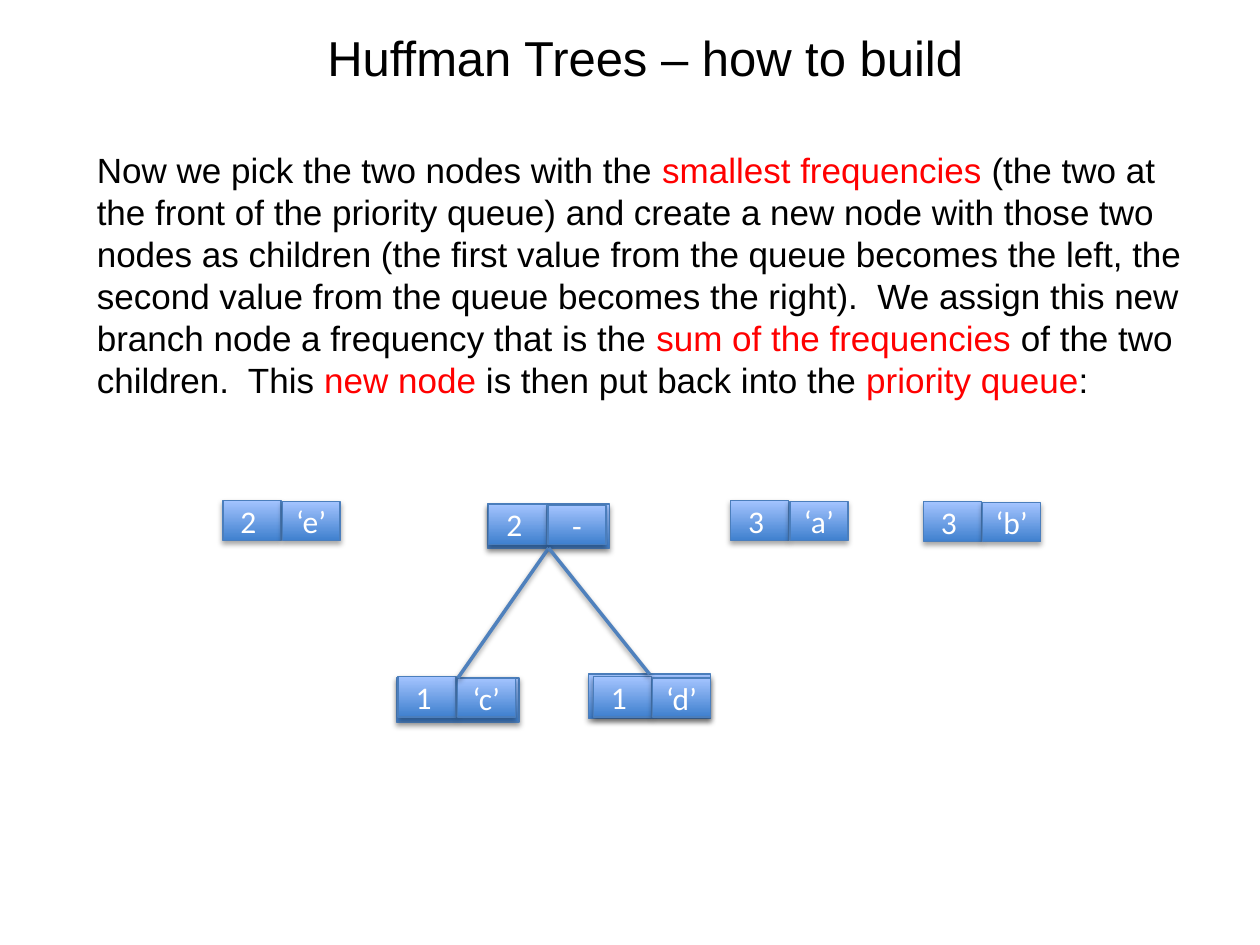
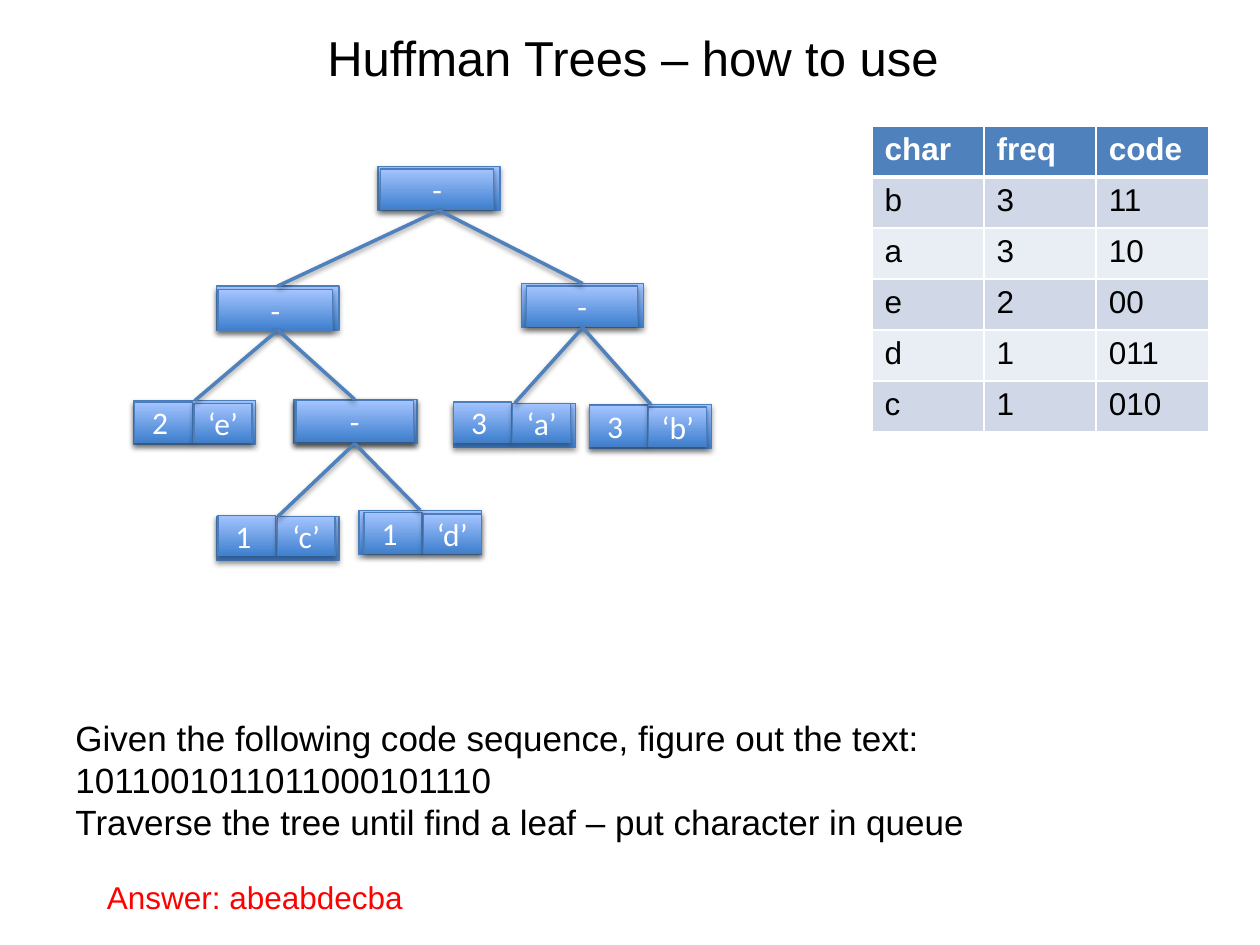
from dataclasses import dataclass

from lxml import etree
from pptx import Presentation
from pptx.dml.color import RGBColor
from pptx.enum import shapes, text
from pptx.oxml import ns
from pptx.util import Inches, Pt

BLACK = RGBColor(0x00, 0x00, 0x00)
WHITE = RGBColor(0xFF, 0xFF, 0xFF)
RED = RGBColor(0xFF, 0x00, 0x00)
DEEP = RGBColor(0x3F, 0x80, 0xCE)
PALE = RGBColor(0xA4, 0xC4, 0xFF)
EDGE = RGBColor(0x4B, 0x7E, 0xBC)
BLUE = RGBColor(0x4F, 0x81, 0xBD)
BANDS = RGBColor(0xD0, 0xD8, 0xE8), RGBColor(0xE9, 0xED, 0xF4)
NODE_W, NODE_H = 0.97, 0.35
CELL_W, CELL_H, STEP = 0.46, 0.32, 0.47


@dataclass
class Node:
    """A tree node: place in the tree's box, label, inset of its cells, children."""
    x: float
    y: float
    char: str = "-"
    freq: str = ""
    pad: tuple = (0.01, 0.01)
    wide: float = 0.9
    kids: tuple = ()
    twin: bool = False


def write(frame, lines, size=20, font="Arial", color=BLACK, bold=False, align=None):
    """Fill a text frame with lines; parts between asterisks are red."""
    for i, line in enumerate(lines):
        para = frame.paragraphs[0] if i == 0 else frame.add_paragraph()
        if align is not None:
            para.alignment = align
        for j, part in enumerate(line.split("*")):
            run = para.add_run()
            run.text = part
            run.font.size, run.font.name, run.font.bold = Pt(size), font, bold
            run.font.color.rgb = RED if j % 2 else color


def label(slide, box, *lines, wrap=True, **form):
    """Add a text box that grows with its text."""
    frame = slide.shapes.add_textbox(*map(Inches, box)).text_frame
    frame.word_wrap = wrap
    frame.auto_size = text.MSO_AUTO_SIZE.SHAPE_TO_FIT_TEXT
    write(frame, lines, **form)


def shade(props, alpha, dist):
    """Give shape properties a soft shadow that falls straight down."""
    effects = props.find(ns.qn("a:effectLst"))
    if effects is None:
        effects = etree.SubElement(props, ns.qn("a:effectLst"))
    outer = etree.SubElement(
        effects, ns.qn("a:outerShdw"), blurRad=str(Pt(3.1)), dist=str(Pt(dist)),
        dir="5400000", rotWithShape="0")
    tint = etree.SubElement(outer, ns.qn("a:srgbClr"), val="000000")
    etree.SubElement(tint, ns.qn("a:alpha"), val=str(alpha * 1000))


def block(group, x, y, wide, high, word=""):
    """Add one glossy rectangle, with a word if given."""
    rect = group.shapes.add_shape(
        shapes.MSO_SHAPE.RECTANGLE, *map(Inches, (x, y, wide, high)))
    rect.fill.gradient()
    rect.fill.gradient_angle = 90
    for stop, color in zip(rect.fill.gradient_stops, (DEEP, PALE)):
        stop.color.rgb = color
    rect.line.color.rgb, rect.line.width = EDGE, Pt(0.75)
    rect.shadow.inherit = False
    shade(rect._element.spPr, 35, 1.8)
    if word:
        write(rect.text_frame, [word], size=18, font="Calibri", color=WHITE,
              align=text.PP_ALIGN.CENTER)


def pair(group, x, y, freq, char):
    """Add a frequency cell and a character cell side by side."""
    block(group, x, y, CELL_W, CELL_H, freq + " ")
    block(group, x + STEP, y + 0.01, CELL_W, CELL_H - 0.01, char)


def link(slide, start, end):
    """Join two points with a line."""
    line = slide.shapes.add_connector(
        shapes.MSO_CONNECTOR.STRAIGHT, *map(Inches, start + end))
    line.line.color.rgb, line.line.width = BLUE, Pt(2)
    shade(line._element.spPr, 38, 1.6)


def tree(slide, left, top, node):
    """Draw a node and its children, in a box with the given corner."""
    for kid in node.kids:
        tree(slide, left, top, kid)
    x, y = left + node.x, top + node.y
    group = slide.shapes.add_group_shape()
    block(group, x, y, NODE_W, NODE_H)
    if node.twin:
        block(group, x + 0.01, y, NODE_W, NODE_H)
    dx, dy = node.pad
    if node.freq:
        pair(group, x + dx, y + dy, node.freq, node.char)
    else:
        block(group, x + dx, y + dy, node.wide, CELL_H, node.char)
    for kid in node.kids:
        link(slide, (x + NODE_W / 2, y + NODE_H),
             (left + kid.x + NODE_W / 2, top + kid.y))


def grid(slide, box, rows):
    """Add the code table with a dark head and banded rows."""
    table = slide.shapes.add_table(len(rows), len(rows[0]), *map(Inches, box)).table
    for r, row in enumerate(rows):
        for c, word in enumerate(row):
            cell = table.cell(r, c)
            props = cell._tc.get_or_add_tcPr()
            for side in "LRTB":
                thick = (side, r) in (("B", 0), ("T", 1))
                edge = etree.SubElement(props, ns.qn("a:ln" + side),
                                        w=str(Pt(3 if thick else 1)))
                fill = etree.SubElement(edge, ns.qn("a:solidFill"))
                etree.SubElement(fill, ns.qn("a:srgbClr"), val=str(WHITE))
            cell.fill.solid()
            cell.fill.fore_color.rgb = BANDS[(r - 1) % 2] if r else BLUE
            write(cell.text_frame, [word], size=18,
                  color=BLACK if r else WHITE, bold=r == 0)


def page(deck, title, wide):
    """Add a blank slide with its title."""
    slide = deck.slides.add_slide(deck.slide_layouts[6])
    label(slide, (2.5, 0.17, wide, 0.57), title, wrap=False, size=28)
    return slide


def build(deck):
    """Slide on joining the two rarest nodes."""
    slide = page(deck, "Huffman Trees – how to build", 5.31)
    label(slide, (0.67, 1.13, 8.83, 2.12),
          "Now we pick the two nodes with the *smallest frequencies *(the two at "
          "the front of the priority queue) and create a new node with those two "
          "nodes as children (the first value from the queue becomes the left, the "
          "second value from the queue becomes the right).  We assign this new "
          "branch node a frequency that is the *sum of the frequencies *of the two "
          "children.  This *new node *is then put back into the *priority queue*:")
    for x, y, freq, char in ((1.77, 3.97, "2", "‘e’"), (5.8, 3.97, "3", "‘a’"),
                             (7.33, 3.98, "3", "‘b’")):
        pair(slide.shapes.add_group_shape(), x, y, freq, char)
    tree(slide, 3.15, 4, Node(0.72, 0, "-", "2", (0.01, 0), kids=(
        Node(0, 1.38, "‘c’", "1", (0.01, -0.01)),
        Node(1.52, 1.35, "‘d’", "1", (0.04, 0.02)))))


def use(deck):
    """Slide on decoding with the finished tree."""
    slide = page(deck, "Huffman Trees – how to use", 5.11)
    label(slide, (0.5, 5.64, 9.25, 1.11),
          "Given the following code sequence, figure out the text:",
          "1011001011011000101110",
          "Traverse the tree until find a leaf – put character in queue")
    label(slide, (0.75, 6.92, 2.57, 0.4), "Answer: abeabdecba",
          wrap=False, size=18, color=RED)
    grid(slide, (6.92, 1, 2.67, 2.43), (
        ("char", "freq", "code"), ("b", "3", "11"), ("a", "3", "10"),
        ("e", "2", "00"), ("d", "1", "011"), ("c", "1", "010")))
    inner = Node(1.27, 1.85, pad=(0.02, 0.01), wide=0.93, twin=True, kids=(
        Node(0.66, 2.78, "‘c’", "1", (0.01, -0.01)),
        Node(1.79, 2.73, "‘d’", "1", (0.04, 0.02))))
    west = Node(0.66, 0.95, pad=(0.01, 0.03), wide=0.91, kids=(
        Node(0, 1.86, "‘e’", "2"), inner))
    east = Node(3.08, 0.93, pad=(0.04, 0.02), wide=0.88, kids=(
        Node(2.54, 1.88, "‘a’", "3", (0, -0.01)),
        Node(3.62, 1.89, "‘b’", "3", (0, 0.01))))
    tree(slide, 1.06, 1.32, Node(1.94, 0, pad=(0.02, 0.02), kids=(west, east)))


deck = Presentation()
deck.slide_width, deck.slide_height = Inches(10), Inches(7.5)
build(deck)
use(deck)
deck.save("out.pptx")
